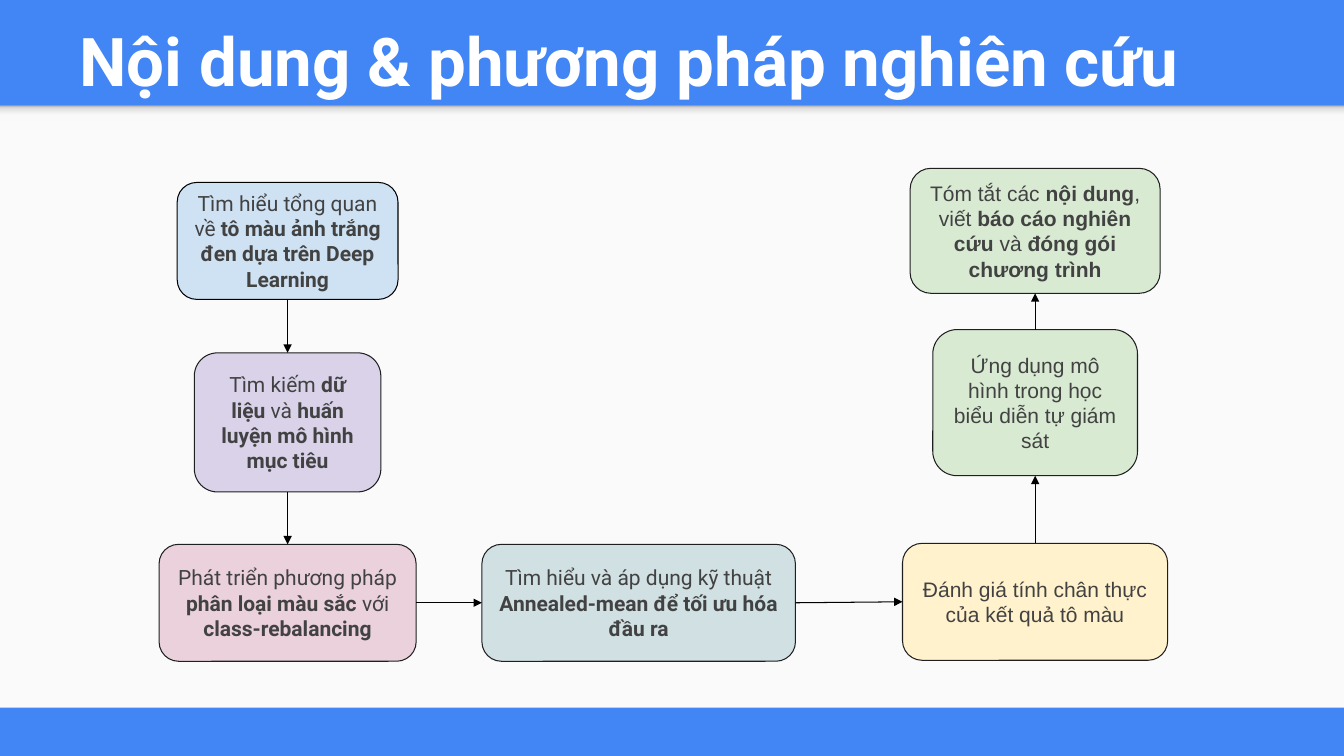
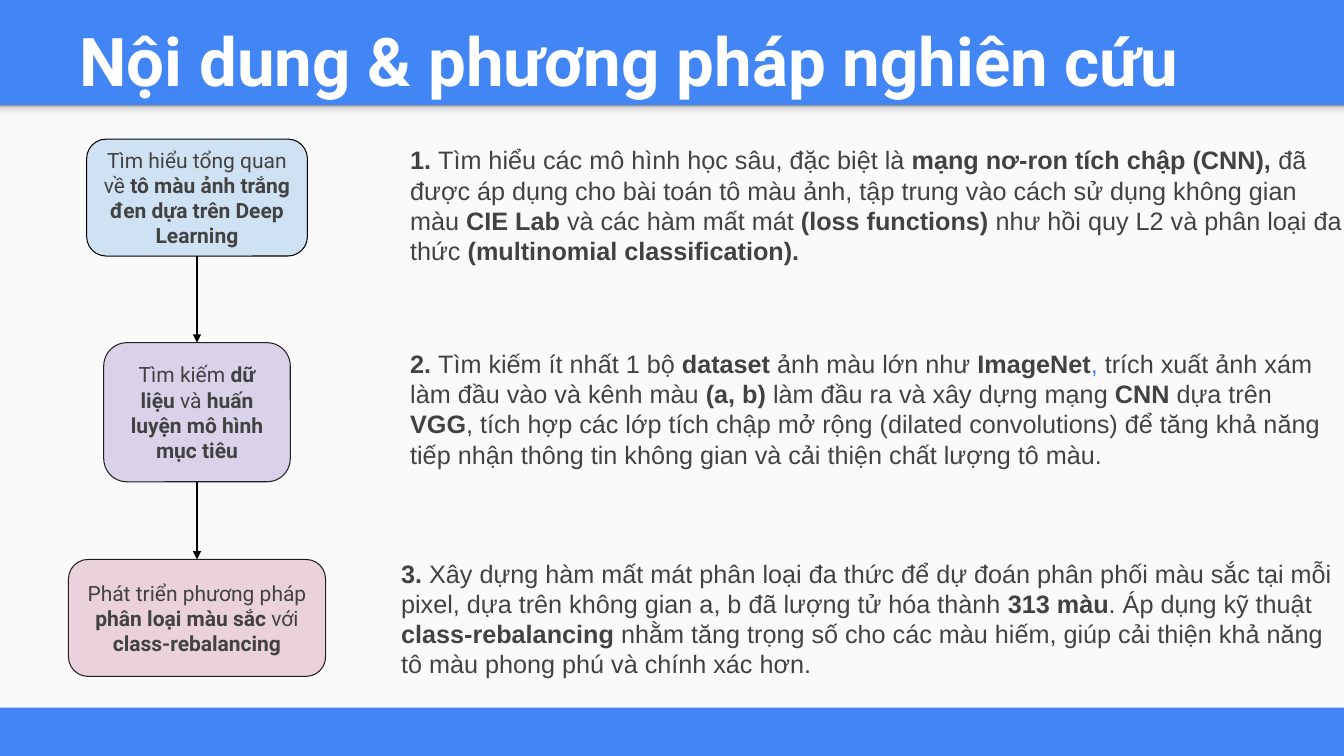
"""Build two slides on research content and methods: the full workflow and its first three steps."""
import lxml.etree
import pptx
import pptx.dml.color
import pptx.enum.shapes
import pptx.enum.text
import pptx.oxml.ns
import pptx.util

COLORS = {
    "brand": "4285F4", "sheet": "FAFAFA", "title": "FFFFFF", "body": "424242",
    "outline": "1F1F1F", "black": "000000",
    "blue": "CFE2F3", "violet": "D9D2E9", "pink": "EAD1DC",
    "teal": "D0E0E3", "yellow": "FFF2CC", "green": "D9EAD3",
}
SHADE = [(0, "F9F9F9"), (36, "F9F9F9"), (80, "DEDEDE"), (100, "999999")]
RGB = {name: pptx.dml.color.RGBColor.from_string(value) for name, value in COLORS.items()}
qn = pptx.oxml.ns.qn
MSO_SHAPE = pptx.enum.shapes.MSO_SHAPE
ANCHOR = pptx.enum.text.MSO_ANCHOR
ALIGN = pptx.enum.text.PP_ALIGN

deck = pptx.Presentation()
deck.slide_width = pptx.util.Inches(13.33)
deck.slide_height = pptx.util.Inches(7.5)
deck.slide_master.background.fill.solid()
deck.slide_master.background.fill.fore_color.rgb = RGB["brand"]


def area(left, top, width, height):
    """Turn percentages of the slide into lengths."""
    across, down = deck.slide_width / 100, deck.slide_height / 100
    return round(left * across), round(top * down), round(width * across), round(height * down)


def write(frame, marked, font, size, color, align, anchor):
    """Fill a frame with one paragraph, setting the parts between ** in bold."""
    frame.word_wrap = True
    frame.vertical_anchor = anchor
    paragraph = frame.paragraphs[0]
    paragraph.alignment = align
    for position, part in enumerate(marked.split("**")):
        if part:
            run = paragraph.add_run()
            run.text = part
            run.font.name = font
            run.font.size = pptx.util.Pt(size)
            run.font.bold = position % 2 == 1
            run.font.color.rgb = RGB[color]


STEPS = {
    "overview": ("Tìm hiểu tổng quan về **tô màu ảnh trắng đen dựa trên Deep Learning**",
                 "Roboto", 16.43, 15.47, "blue", "black"),
    "training": ("Tìm kiếm **dữ liệu** và **huấn luyện mô hình mục tiêu**",
                 "Roboto", 13.88, 18.4, "violet", "outline"),
    "classes": ("Phát triển phương pháp **phân loại màu sắc **với **class-rebalancing**",
                "Roboto", 19.13, 15.47, "pink", "outline"),
    "annealing": ("Tìm hiểu và áp dụng kỹ thuật **Annealed-mean để tối ưu hóa đầu ra**",
                  "Roboto", 23.33, 15.47, "teal", "outline"),
    "realism": ("Đánh giá tính chân thực của kết quả tô màu",
                "Arial", 19.73, 15.47, "yellow", "outline"),
    "application": ("Ứng dụng mô hình trong học biểu diễn tự giám sát",
                    "Arial", 15.23, 19.33, "green", "outline"),
    "report": ("Tóm tắt các **nội dung**, viết **báo cáo nghiên cứu** và **đóng gói chương trình**",
               "Arial", 18.6, 16.53, "green", "outline"),
}
SITES = {"down": (2, 0), "right": (3, 1), "up": (0, 2)}

LEFT, MIDDLE, RIGHT, DETAIL = 21.4, 47.52, 77.02, 14.66
WORKFLOW = [
    ("overview", LEFT, 24.13, None),
    ("training", LEFT, 46.67, "down"),
    ("classes", LEFT, 72, "down"),
    ("annealing", MIDDLE, 72, "right"),
    ("realism", RIGHT, 71.87, "right"),
    ("application", RIGHT, 43.6, "up"),
    ("report", RIGHT, 22.27, "up"),
]
FIRST_STEPS = [
    ("overview", DETAIL, 18.4, None),
    ("training", DETAIL, 45.33, "down"),
    ("classes", DETAIL, 74, "down"),
]
EXPLANATIONS = [
    (29.78, 18.4, 70.89,
     "**1. **Tìm hiểu các mô hình học sâu, đặc biệt là **mạng nơ-ron tích chập (CNN), **đã được áp "
     "dụng cho bài toán tô màu ảnh, tập trung vào cách sử dụng không gian màu **CIE Lab **và các hàm "
     "mất mát **(loss functions) **như hồi quy L2 và phân loại đa thức "
     "**(multinomial classification).**"),
    (29.78, 45.33, 70.22,
     "**2. **Tìm kiếm ít nhất 1 bộ **dataset **ảnh màu lớn như **ImageNet**, ****trích xuất ảnh xám "
     "làm đầu vào và kênh màu **(a, b) **làm đầu ra và xây dựng mạng **CNN** dựa trên **VGG**, tích "
     "hợp các lớp tích chập mở rộng (dilated convolutions) để tăng khả năng tiếp nhận thông tin "
     "không gian và cải thiện chất lượng tô màu."),
    (29.11, 73.07, 70.89,
     "**3. **Xây dựng hàm mất mát phân loại đa thức để dự đoán phân phối màu sắc tại mỗi pixel, dựa "
     "trên không gian a, b đã lượng tử hóa thành **313 màu**. Áp dụng kỹ thuật **class-rebalancing** "
     "nhằm tăng trọng số cho các màu hiếm, giúp cải thiện khả năng tô màu phong phú và chính xác hơn."),
]

for flow, explanations in [(WORKFLOW, []), (FIRST_STEPS, EXPLANATIONS)]:
    slide = deck.slides.add_slide(deck.slide_layouts[6])

    sheet = slide.shapes.add_shape(MSO_SHAPE.RECTANGLE, *area(0, 14.13, 100, 79.47))
    sheet.fill.solid()
    sheet.fill.fore_color.rgb = RGB["sheet"]
    title_shade = slide.shapes.add_shape(MSO_SHAPE.RECTANGLE, *area(0, 13.87, 100, 2.13))
    title_shade.fill.gradient()
    title_shade.fill.gradient_angle = 90
    stops = title_shade.element.spPr.find(".//" + qn("a:gsLst"))
    stops.clear()
    for share, tone in SHADE:
        stop = lxml.etree.SubElement(stops, qn("a:gs"), pos=str(share * 1000))
        lxml.etree.SubElement(stop, qn("a:srgbClr"), val=tone)
    for backdrop in (sheet, title_shade):
        backdrop.line.fill.background()
        backdrop.shadow.inherit = False

    title = slide.shapes.add_textbox(*area(5.18, 1.47, 93.4, 13.07))
    title.text_frame.margin_top = title.text_frame.margin_bottom = pptx.util.Inches(0.1)
    write(title.text_frame, "**Nội dung & phương pháp nghiên cứu**",
          "Roboto", 48, "title", ALIGN.LEFT, ANCHOR.BOTTOM)

    previous = None
    for key, center, top, direction in flow:
        wording, font, width, height, fill, outline = STEPS[key]
        step = slide.shapes.add_shape(MSO_SHAPE.ROUNDED_RECTANGLE,
                                      *area(center - width / 2, top, width, height))
        step.shadow.inherit = False
        step.fill.solid()
        step.fill.fore_color.rgb = RGB[fill]
        step.line.color.rgb = RGB[outline]
        step.line.width = pptx.util.Pt(0.75)
        step.text_frame.margin_top = step.text_frame.margin_bottom = pptx.util.Inches(0.1)
        write(step.text_frame, wording, font, 15, "body", ALIGN.CENTER, ANCHOR.MIDDLE)
        if direction:
            leaving, entering = SITES[direction]
            arrow = slide.shapes.add_connector(pptx.enum.shapes.MSO_CONNECTOR.STRAIGHT, 0, 0, 0, 0)
            arrow.begin_connect(previous, leaving)
            arrow.end_connect(step, entering)
            arrow.line.color.rgb = RGB["black"]
            arrow.line.width = pptx.util.Pt(0.75)
            lxml.etree.SubElement(arrow.line._get_or_add_ln(), qn("a:tailEnd"), type="triangle")
            lxml.etree.SubElement(arrow.element.spPr, qn("a:effectLst"))
        previous = step

    for left, top, width, wording in explanations:
        explanation = slide.shapes.add_textbox(*area(left, top, width, 17.47))
        write(explanation.text_frame, wording, "Arial", 18, "body", ALIGN.LEFT, ANCHOR.MIDDLE)
        for run in explanation.text_frame.paragraphs[0].runs:
            if run.text == ", ":
                run.font.color.rgb = RGB["brand"]

deck.save("out.pptx")
